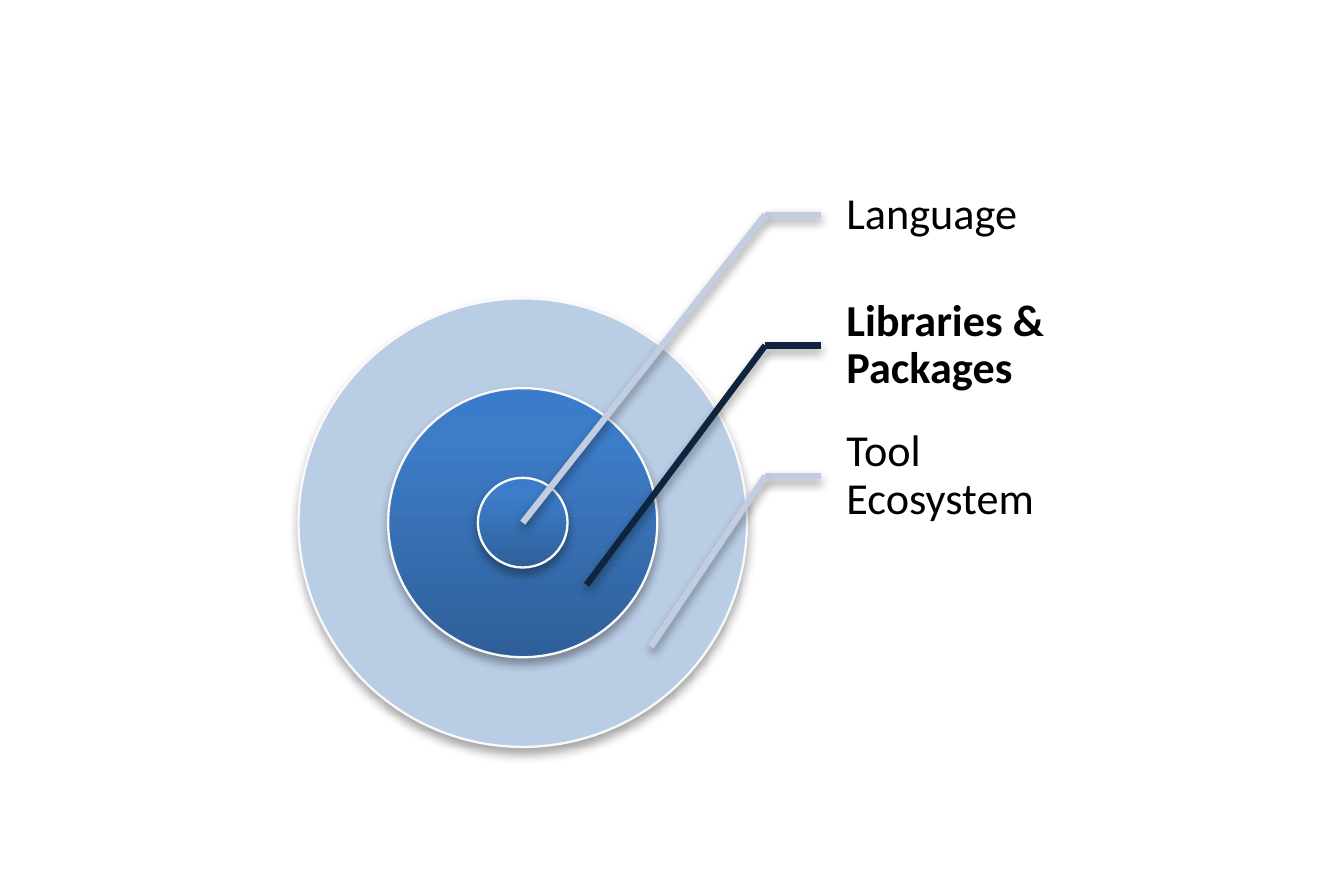
from copy import deepcopy
from dataclasses import dataclass

from lxml import etree
from pptx import Presentation
from pptx.dml.color import RGBColor
from pptx.enum.shapes import MSO_CONNECTOR, MSO_SHAPE
from pptx.enum.text import MSO_ANCHOR
from pptx.oxml.ns import qn
from pptx.util import Pt

OVAL = MSO_SHAPE.OVAL
STRAIGHT = MSO_CONNECTOR.STRAIGHT
MIDDLE = MSO_ANCHOR.MIDDLE


@dataclass(frozen=True)
class Theme:
    font: str = "Calibri"
    label_size: float = 14
    text: str = "000000"
    outer: str = "B9CDE5"
    gradient: tuple = ((0, "2F5F99"), (0.8, "3D7CC7"), (1, "3A7CCB"))
    outline: str = "F9F9F9"
    outline_width: float = 0.75
    leader: str = "C2CDE1"
    highlight: str = "0F243E"
    leader_width: float = 2
    shadow: str = "000000"
    shadow_blur: float = 3.1


class Diagram:
    def __init__(self, slide, theme):
        self.slide = slide
        self.theme = theme

    def add_shadow(self, shape, distance, opacity):
        properties = shape._element.spPr
        effects = properties.find(qn("a:effectLst"))
        if effects is None:
            effects = etree.SubElement(properties, qn("a:effectLst"))
        shadow = etree.SubElement(
            effects, qn("a:outerShdw"), blurRad=str(Pt(self.theme.shadow_blur)),
            dist=str(Pt(distance)), dir="5400000", rotWithShape="0")
        color = etree.SubElement(shadow, qn("a:srgbClr"), val=self.theme.shadow)
        etree.SubElement(color, qn("a:alpha"), val=str(opacity * 1000))

    def fill_gradient(self, shape):
        shape.fill.gradient()
        shape.fill.gradient_angle = 90
        stop_list = shape._element.spPr.find(".//" + qn("a:gsLst"))
        stop_list.append(deepcopy(stop_list[0]))
        for stop, (position, color) in zip(shape.fill.gradient_stops, self.theme.gradient):
            stop.position = position
            stop.color.rgb = RGBColor.from_string(color)

    def circle(self, center, radius, color=None):
        x, y = center
        shape = self.slide.shapes.add_shape(
            OVAL, Pt(x - radius), Pt(y - radius), Pt(2 * radius), Pt(2 * radius))
        if color:
            shape.fill.solid()
            shape.fill.fore_color.rgb = RGBColor.from_string(color)
        else:
            self.fill_gradient(shape)
        shape.line.color.rgb = RGBColor.from_string(self.theme.outline)
        shape.line.width = Pt(self.theme.outline_width)
        shape.shadow.inherit = False
        self.add_shadow(shape, 1.8, 35)

    def line(self, start, end, color):
        connector = self.slide.shapes.add_connector(
            STRAIGHT, *(Pt(value) for value in (*start, *end)))
        connector.line.color.rgb = RGBColor.from_string(color)
        connector.line.width = Pt(self.theme.leader_width)
        self.add_shadow(connector, 1.6, 38)

    def label(self, text, left, top, width, height, bold):
        box = self.slide.shapes.add_textbox(Pt(left), Pt(top), Pt(width), Pt(height))
        frame = box.text_frame
        frame.word_wrap = True
        frame.vertical_anchor = MIDDLE
        frame.margin_left = Pt(8)
        frame.margin_right = frame.margin_top = frame.margin_bottom = Pt(1.4)
        paragraph = frame.paragraphs[0]
        paragraph.text = text
        paragraph.line_spacing = 0.9
        font = paragraph.font
        font.name = self.theme.font
        font.size = Pt(self.theme.label_size)
        font.bold = bold
        font.color.rgb = RGBColor.from_string(self.theme.text)


presentation = Presentation()
presentation.slide_width = Pt(425.5)
presentation.slide_height = Pt(283.7)
slide = presentation.slides.add_slide(presentation.slide_layouts[6])
theme = Theme()
diagram = Diagram(slide, theme)

CENTER = (165.5, 165.5)
RING_UNIT = 14.2
for units, color in ((5, theme.outer), (3, None), (1, None)):
    diagram.circle(CENTER, units * RING_UNIT, color)

ELBOW_X = 242.3
LABEL_LEFT = 260
LABEL_TOP = 47.3
LABEL_HEIGHT = 41.4
LAYERS = (
    ("Language", 70.8, CENTER, False),
    ("Libraries & Packages", 78, (185.7, 185.2), True),
    ("Tool Ecosystem", 70.8, (206.1, 204.8), False),
)
for index, (text, width, target, emphasized) in enumerate(LAYERS):
    top = LABEL_TOP + index * LABEL_HEIGHT
    elbow = (ELBOW_X, top + LABEL_HEIGHT / 2)
    color = theme.highlight if emphasized else theme.leader
    diagram.label(text, LABEL_LEFT, top, width, LABEL_HEIGHT, emphasized)
    diagram.line(elbow, (LABEL_LEFT, elbow[1]), color)
    diagram.line(elbow, target, color)

presentation.save("out.pptx")
